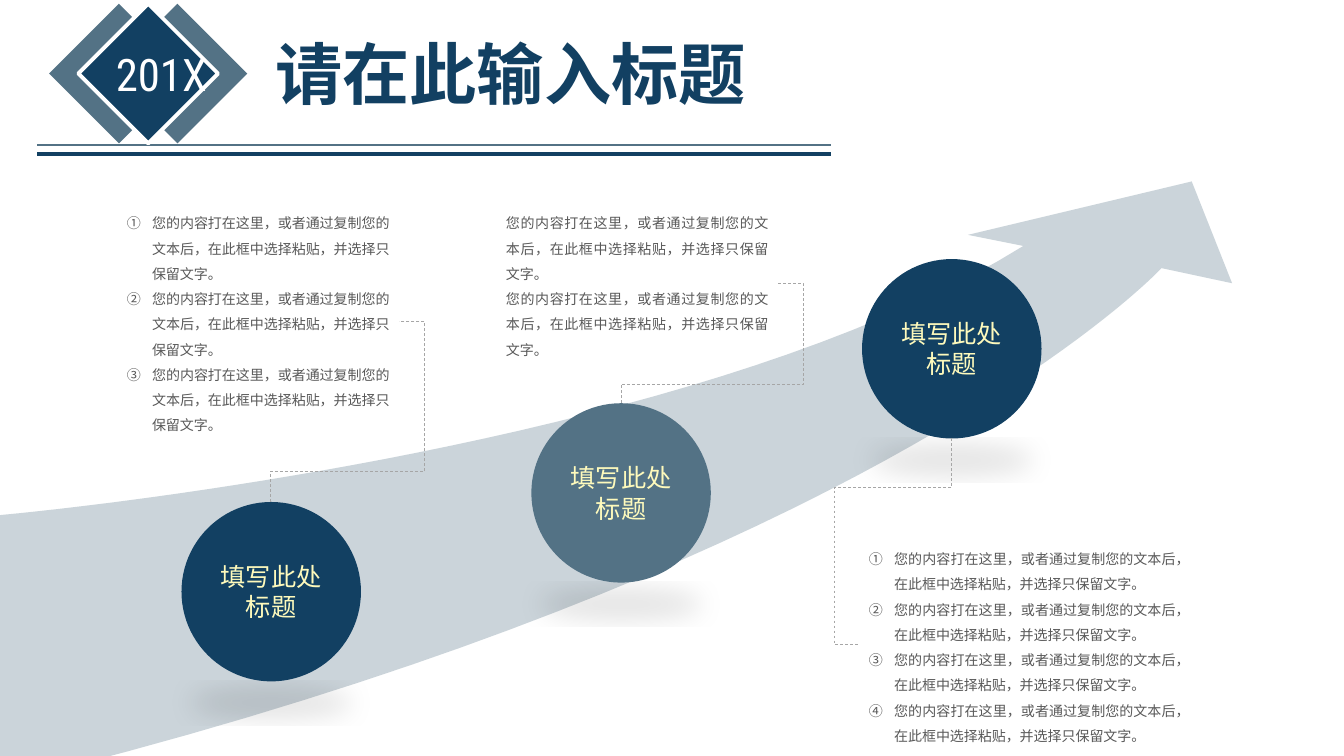
from lxml import etree
from pptx import Presentation
from pptx.dml.color import RGBColor
from pptx.enum.dml import MSO_LINE
from pptx.enum.shapes import MSO_CONNECTOR as CXN, MSO_SHAPE as SHAPE
from pptx.enum.text import MSO_ANCHOR as ANCHOR, PP_ALIGN as ALIGN
from pptx.oxml.ns import qn
from pptx.util import Inches, Pt

NAVY = RGBColor(0x12, 0x40, 0x62)
SLATE = RGBColor(0x53, 0x72, 0x85)
WHITE = RGBColor(0xFF, 0xFF, 0xFF)
CREAM = RGBColor(0xFE, 0xFA, 0xBC)
GREY = RGBColor(0x59, 0x59, 0x59)
DASH_GREY = RGBColor(0xA6, 0xA6, 0xA6)
BODY_FONT = "Roboto Condensed"
BODY = "您的内容打在这里，或者通过复制您的文本后，在此框中选择粘贴，并选择只保留文字。"


def add_run(p, text, size, color, font=BODY_FONT):
    r = p.add_run()
    r.text = text
    r.font.size = Pt(size)
    r.font.name = font
    r.font.color.rgb = color
    return r


def add_line(kind, x1, y1, x2, y2, color, width):
    line = slide.shapes.add_connector(kind, Inches(x1), Inches(y1), Inches(x2), Inches(y2))
    line.line.color.rgb = color
    line.line.width = Pt(width)
    etree.SubElement(line._element.spPr, qn("a:effectLst"))
    return line


prs = Presentation()
prs.slide_width, prs.slide_height = Inches(13.33), Inches(7.5)
slide = prs.slides.add_slide(prs.slide_layouts[5])

# Header: rules, diamond badge and title
add_line(CXN.STRAIGHT, 8.24, 1.44, 0.37, 1.44, SLATE, 1)
for left, color in ((1.27, SLATE), (0.69, SLATE), (0.98, NAVY)):
    sp = slide.shapes.add_shape(SHAPE.ROUNDED_RECTANGLE, Inches(left), Inches(0.24),
                                Inches(0.98), Inches(0.98))
    sp.adjustments[0] = 0
    sp.rotation = 45
    sp.shadow.inherit = False
    sp.fill.solid()
    sp.fill.fore_color.rgb = color
    if color == NAVY:
        sp.line.color.rgb = WHITE
        sp.line.width = Pt(2.75)
    else:
        sp.line.fill.background()

year = slide.shapes.add_textbox(Inches(1.05), Inches(0.41), Inches(1.16), Inches(0.64))
year.text_frame.word_wrap = False
add_run(year.text_frame.paragraphs[0], "201X", 32, WHITE)
add_line(CXN.STRAIGHT, 8.24, 1.53, 0.37, 1.53, NAVY, 3)

title = slide.shapes.title
title.left, title.top, title.width, title.height = (
    Inches(v) for v in (2.63, 0.27, 4.94, 0.91))
tf = title.text_frame
tf.word_wrap = False
tf.vertical_anchor = ANCHOR.TOP
p = tf.paragraphs[0]
p.alignment = ALIGN.LEFT
p.line_spacing = 1.0
add_run(p, "请在此输入标题", 48, NAVY, "Montserrat").font.bold = True

# Rising arrow: two cubic curves joined by the arrowhead
STEPS = 40
upper = ((0, 5.11), (0, 5.11), (6.83, 4.51), (10.15, 2.44))
lower = ((11.52, 2.66), (11.52, 2.66), (8.77, 5.64), (0, 7.78))
edges = []
for curve in (upper, lower):
    points = []
    for i in range(STEPS + 1):
        t = i / STEPS
        weights = ((1 - t) ** 3, 3 * t * (1 - t) ** 2, 3 * t ** 2 * (1 - t), t ** 3)
        points.append(tuple(sum(w * pt[axis] for w, pt in zip(weights, curve))
                            for axis in (0, 1)))
    edges.append(points)
head = [(9.6, 2.33), (11.82, 1.8), (12.22, 2.81)]
outline = [(Inches(x), Inches(y)) for x, y in edges[0] + head + edges[1]]
builder = slide.shapes.build_freeform(*outline[0])
builder.add_line_segments(outline[1:], close=True)
arrow = builder.convert_to_shape()
arrow.shadow.inherit = False
arrow.line.fill.background()
arrow.fill.solid()
arrow.fill.fore_color.rgb = SLATE
arrow_color = arrow._element.spPr.find(qn("a:solidFill"))[0]
etree.SubElement(arrow_color, qn("a:alpha"), val="30000")

# Milestone circles with a flattened shadow below
for left, top, color in ((1.8, 4.98, NAVY), (5.27, 4, SLATE), (8.55, 2.57, NAVY)):
    sp = slide.shapes.add_shape(SHAPE.OVAL, Inches(left), Inches(top), Inches(1.78), Inches(1.78))
    sp.fill.solid()
    sp.fill.fore_color.rgb = color
    sp.line.fill.background()
    sp.shadow.inherit = False
    effects = sp._element.spPr.find(qn("a:effectLst"))
    shadow = etree.SubElement(effects, qn("a:outerShdw"), blurRad=str(Pt(19)), dist=str(Pt(3)),
                              dir="5400000", sx="90000", sy="-19000", algn="b", rotWithShape="0")
    black = etree.SubElement(shadow, qn("a:srgbClr"), val="000000")
    etree.SubElement(black, qn("a:alpha"), val="10000")
    tf = sp.text_frame
    tf.word_wrap = True
    tf.vertical_anchor = ANCHOR.MIDDLE
    p = tf.paragraphs[0]
    p.alignment = ALIGN.CENTER
    add_run(p, "填写此处标题", 18, CREAM)

# Dashed elbows from circles to notes, turned a quarter so they leave vertically
for x1, y1, x2, y2, adjusts in ((2.68, 4.98, 3.96, 3.19, (16900, 119600)),
                                (6.16, 4, 7.72, 2.81, (16000, 116000)),
                                (9.44, 4.35, 8.52, 6.39, (24000, 127100))):
    cx, cy = (x1 + x2) / 2, (y1 + y2) / 2
    elbow = add_line(CXN.ELBOW, cx + y1 - cy, cy - x1 + cx, cx + y2 - cy, cy - x2 + cx,
                     DASH_GREY, 0.5)
    elbow.line.dash_style = MSO_LINE.DASH
    spPr = elbow._element.spPr
    spPr.find(qn("a:xfrm")).set("rot", "5400000")
    geom = spPr.find(qn("a:prstGeom"))
    geom.set("prst", "bentConnector4")
    guides = geom.find(qn("a:avLst"))
    for n, value in enumerate(adjusts, 1):
        etree.SubElement(guides, qn("a:gd"), name=f"adj{n}", fmla=f"val {value}")

# Notes
for left, top, width, height, count, numbered in ((1.16, 2, 2.8, 2.37, 3, True),
                                                  (4.92, 2, 2.8, 1.62, 2, False),
                                                  (8.52, 5.33, 3.24, 2.12, 4, True)):
    box = slide.shapes.add_textbox(Inches(left), Inches(top), Inches(width), Inches(height))
    tf = box.text_frame
    tf.word_wrap = True
    for i in range(count):
        p = tf.add_paragraph() if i else tf.paragraphs[0]
        if numbered:
            pPr = p._p.get_or_add_pPr()
            pPr.set("marL", str(Inches(0.25)))
            pPr.set("indent", str(-Inches(0.25)))
            etree.SubElement(pPr, qn("a:buFont"), typeface="+mj-ea")
            etree.SubElement(pPr, qn("a:buAutoNum"), type="circleNumDbPlain")
        p.alignment = ALIGN.JUSTIFY
        p.line_spacing = 1.5
        add_run(p, BODY, 10, GREY)

prs.save("out.pptx")
